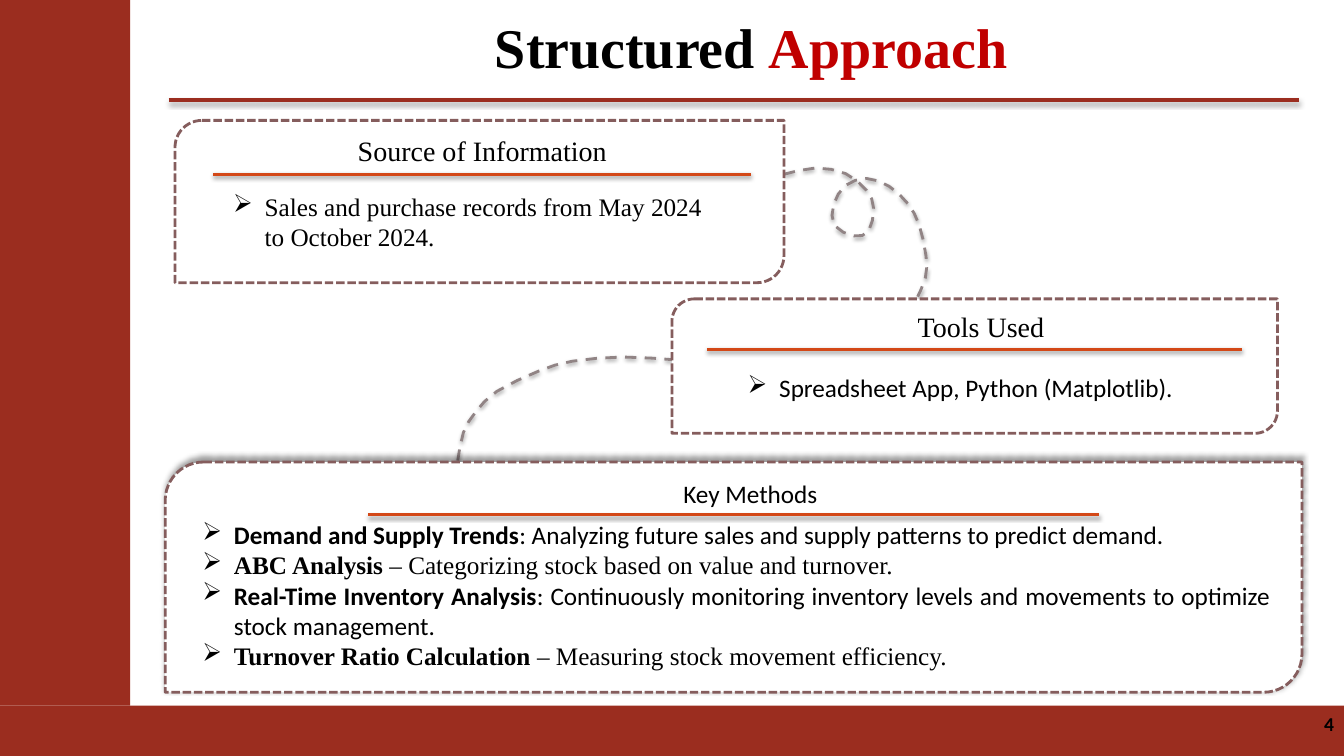
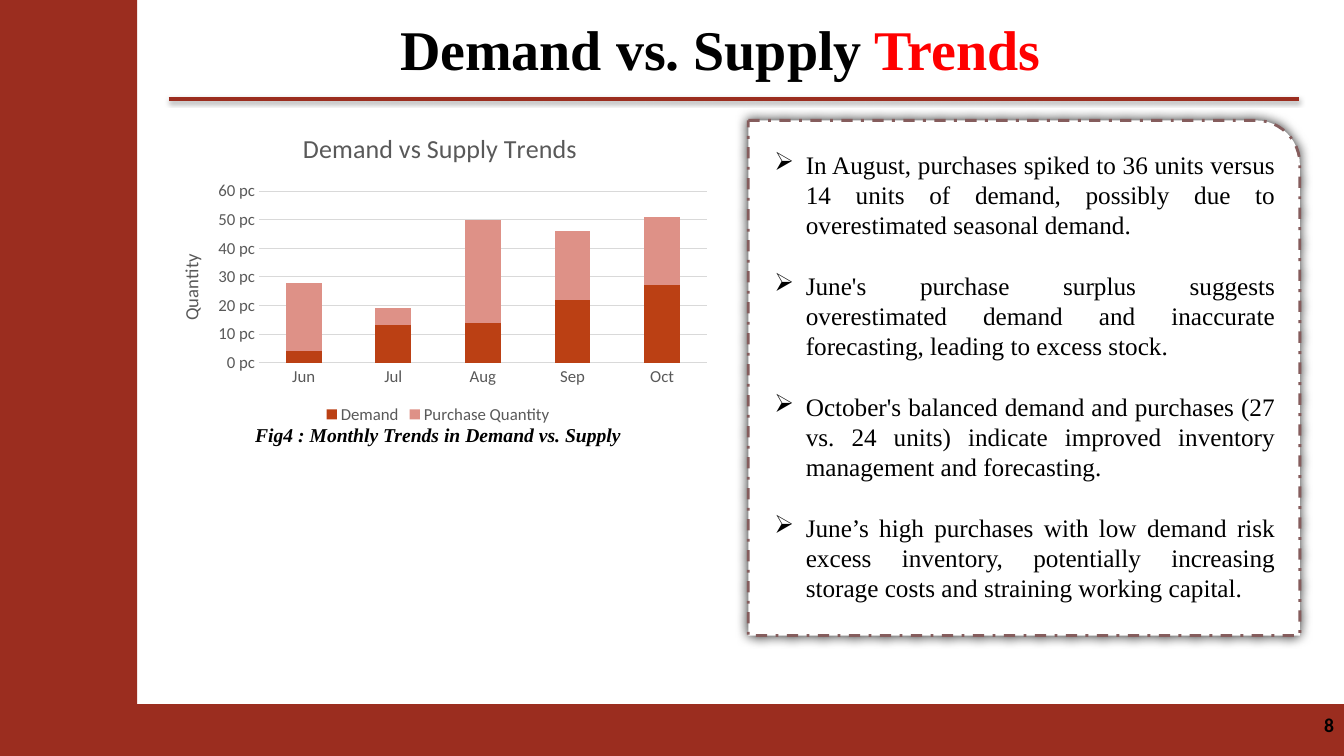
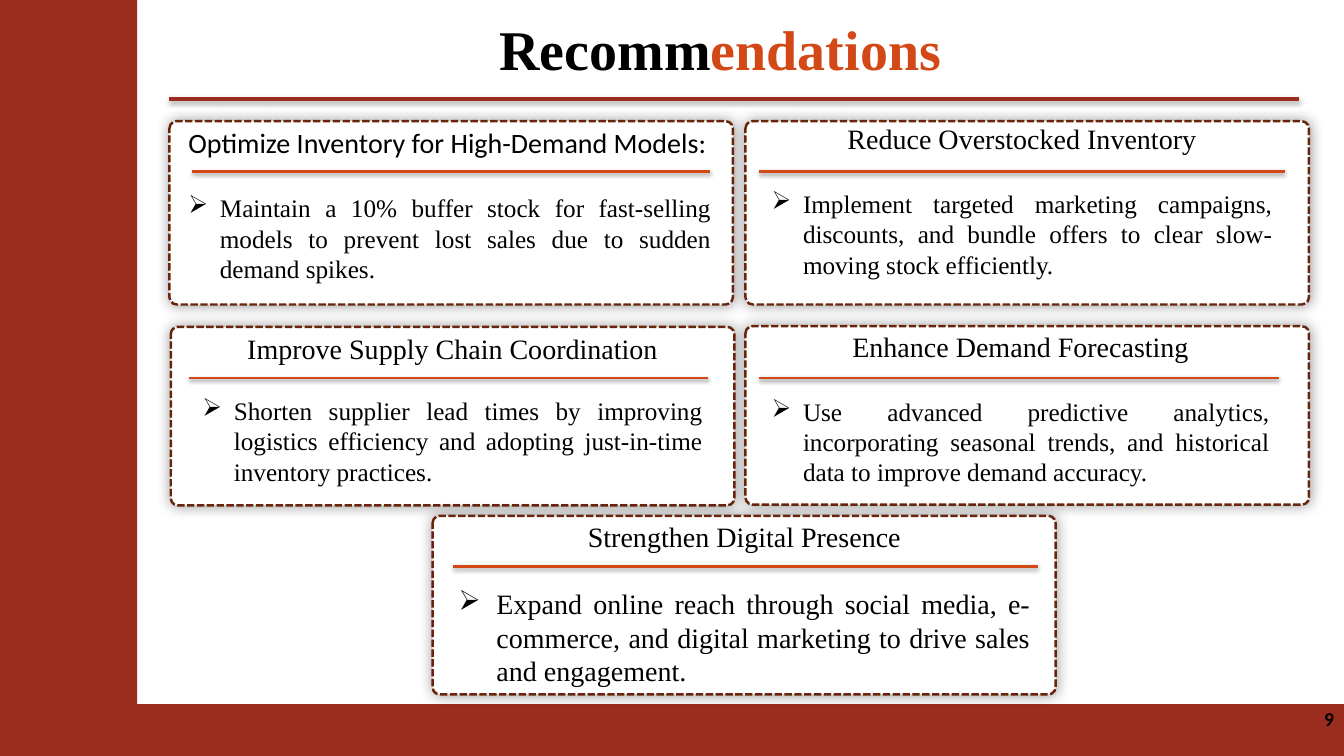
"""Build three slides on inventory analysis: approach, trends and recommendations."""
from pptx import Presentation
from pptx.chart.data import CategoryChartData
from pptx.dml.color import RGBColor
from pptx.enum.chart import XL_CHART_TYPE, XL_LEGEND_POSITION, XL_TICK_MARK
from pptx.enum.dml import MSO_LINE
from pptx.enum.shapes import MSO_CONNECTOR, MSO_SHAPE
from pptx.enum.text import MSO_ANCHOR, PP_ALIGN
from pptx.oxml import parse_xml
from pptx.oxml.ns import nsdecls, qn
from pptx.util import Pt

SERIF, SANS = "Times New Roman", "Calibri"
BLACK, WHITE, BRICK, ORANGE = "000000", "FFFFFF", "9B2D1F", "D34817"
MAUVE, BROWN, TAUPE, GREY, GRID = "855D5D", "69240C", "918485", "595959", "D9D9D9"
RULE_SHADOW = (38, 3.1, 1.6, 90)


def decorate(shape, color=None, width=1, dash=None, fill=None, shadow=None):
    """Set outline, fill and shadow (opacity, blur, distance, angle)."""
    if color:
        shape.line.color.rgb = RGBColor.from_string(color)
        shape.line.width = Pt(width)
        shape.line.dash_style = dash
    else:
        shape.line.fill.background()
    if fill:
        shape.fill.solid()
        shape.fill.fore_color.rgb = RGBColor.from_string(fill)
    effect = ""
    if shadow:
        opacity, blur, distance, angle = shadow
        effect = (
            f'<a:outerShdw blurRad="{Pt(blur)}" dist="{Pt(distance)}" dir="{angle * 60000}" '
            f'algn="ctr" rotWithShape="0"><a:srgbClr val="{BLACK}">'
            f'<a:alpha val="{opacity * 1000}"/></a:srgbClr></a:outerShdw>'
        )
    shape._element.spPr.append(
        parse_xml(f'<a:effectLst {nsdecls("a")}>{effect}</a:effectLst>')
    )


def add_text(slide, box, paragraphs, gap=0, indent=22.5):
    """Add a text box of (size, bulleted, runs); a run is (text, font, bold, color)."""
    frame = slide.shapes.add_textbox(*map(Pt, box)).text_frame
    frame.word_wrap = True
    for index, (size, bulleted, runs) in enumerate(paragraphs):
        paragraph = frame.add_paragraph() if index else frame.paragraphs[0]
        paragraph.alignment = PP_ALIGN.JUSTIFY if bulleted else PP_ALIGN.CENTER
        if index and gap:
            paragraph.space_before = Pt(gap)
        if bulleted:
            properties = paragraph._p.get_or_add_pPr()
            properties.set("marL", str(Pt(indent)))
            properties.set("indent", str(-Pt(indent)))
            for tag in ('buFont typeface="Wingdings" charset="2"', 'buChar char="Ø"'):
                properties.append(parse_xml(f'<a:{tag} {nsdecls("a")}/>'))
        for text, face, bold, color in runs:
            run = paragraph.add_run()
            run.text = text
            run.font.name = face
            run.font.size = Pt(size)
            run.font.bold = bold
            run.font.color.rgb = RGBColor.from_string(color)
    return frame


presentation = Presentation()
presentation.slide_width, presentation.slide_height = Pt(960), Pt(540)

pages = [
    ("Structured ", "Approach", "C00000", "4", 93, 504, 132.5, 5.5, 71.5, 502.5),
    ("Demand vs. Supply", " Trends", "FF0000", "8", 98, 503, 110.5, 7, 70.5, 503),
    ("Recomm", "endations", ORANGE, "9", 98, 503, 110.5, 7, 70.5, 499),
]
slides = []
for start, end, accent, number, side, floor, left, top, rule, number_top in pages:
    slide = presentation.slides.add_slide(presentation.slide_layouts[6])
    slides.append(slide)
    for box in [(0, 0, side, floor), (0, floor, 960, 540 - floor)]:
        band = slide.shapes.add_shape(MSO_SHAPE.RECTANGLE, *map(Pt, box))
        decorate(band, fill=BRICK)
    title_runs = [(start, SERIF, True, BLACK), (end, SERIF, True, accent)]
    add_text(slide, (left, top, 808, 55.5), [(40, False, title_runs)])
    line = slide.shapes.add_connector(
        MSO_CONNECTOR.STRAIGHT, Pt(120.5), Pt(rule), Pt(928), Pt(rule)
    )
    decorate(line, BRICK, 3, shadow=(35, 3.1, 1.8, 90))
    frame = add_text(
        slide, (744, number_top, 216, 29), [(14, False, [(number, SANS, True, BLACK)])]
    )
    frame.vertical_anchor = MSO_ANCHOR.MIDDLE
    frame.paragraphs[0].alignment = PP_ALIGN.RIGHT

approach, trends, recommendations = slides

curves = [
    [(560, 124.5), (582.5, 120), (604, 124), (619, 136), (624, 148.5), (620.5, 165),
     (610, 168.5), (596, 161), (595.5, 146), (604, 132.5), (619, 127.5), (635, 133),
     (648.5, 145.5), (656.5, 160.5), (661.5, 183), (661, 198.5), (655, 213)],
    [(327, 329), (331, 309), (340, 294), (355, 279.5), (385, 265), (409, 258),
     (445, 255), (481.5, 257)],
]
for anchors in curves:
    padded = [anchors[0], *anchors, anchors[-1]]
    points = []
    for before, first, second, after in zip(padded, padded[1:], padded[2:], padded[3:]):
        middle = [
            Pt((9 * (b + c) - a - d) / 16) for a, b, c, d in zip(before, first, second, after)
        ]
        points += [middle, [Pt(value) for value in second]]
    builder = approach.shapes.build_freeform(*map(Pt, anchors[0]))
    builder.add_line_segments(points, close=False)
    curve = builder.convert_to_shape()
    curve.fill.background()
    decorate(curve, TAUPE, 2, MSO_LINE.DASH, shadow=RULE_SHADOW)

methods = [
    ("Demand and Supply Trends",
     ": Analyzing future sales and supply patterns to predict demand.", SANS),
    ("ABC Analysis ", "– Categorizing stock based on value and turnover.", SERIF),
    ("Real-Time Inventory Analysis",
     ": Continuously monitoring inventory levels and movements to optimize stock management.",
     SANS),
    ("Turnover Ratio Calculation ", "– Measuring stock movement efficiency.", SERIF),
]
panels = [
    ((125, 86, 435, 116), None, "Source of Information", 20, SERIF,
     (152.5, 91.5, 384, 31.5), (152.5, 536.5, 124.5), (159.5, 133, 349, 49),
     [[("Sales and purchase records from May 2024 to October 2024.", SERIF, False, BLACK)]]),
    ((480, 213.5, 432.5, 96), None, "Tools Used", 20, SERIF,
     (510, 217.5, 381.5, 31.5), (505, 887, 249.5), (527, 262.5, 347, 29),
     [[("Spreadsheet App, Python (Matplotlib).", SANS, False, BLACK)]]),
    ((118, 330, 812, 164.5), (40, 4, 3, 270), "Key Methods", 18, SANS,
     (353.5, 338, 365, 29), (263, 785, 367.5), (137.5, 367.5, 777, 116.5),
     [[(name, face, True, BLACK), (detail, face, False, BLACK)]
      for name, detail, face in methods]),
]
for box, shadow, heading, size, face, heading_box, rule, body_box, items in panels:
    panel = approach.shapes.add_shape(MSO_SHAPE.ROUND_2_DIAG_RECTANGLE, *map(Pt, box))
    decorate(panel, MAUVE, 2, MSO_LINE.SQUARE_DOT, WHITE, shadow)
    panel.line._ln.find(qn("a:prstDash")).set("val", "sysDash")
    add_text(approach, heading_box, [(size, False, [(heading, face, False, BLACK)])])
    left, right, height = map(Pt, rule)
    line = approach.shapes.add_connector(MSO_CONNECTOR.STRAIGHT, left, height, right, height)
    decorate(line, ORANGE, 2, shadow=RULE_SHADOW)
    add_text(approach, body_box, [(18, True, runs) for runs in items])

caption = add_text(
    trends, (143, 298.5, 340, 24.5),
    [(14, False, [("Fig4 : Monthly Trends in Demand vs. Supply", SERIF, True, BLACK)])],
)
caption.paragraphs[0].runs[0].font.italic = True

panel = trends.shapes.add_shape(
    MSO_SHAPE.ROUND_1_RECTANGLE, Pt(534.5), Pt(86), Pt(394), Pt(368)
)
panel.adjustments[0] = 0.085
decorate(panel, MAUVE, 2, MSO_LINE.DASH_DOT, WHITE, (80, 8, 0, 0))
findings = [
    "In August, purchases spiked to 36 units versus 14 units of demand, possibly due to "
    "overestimated seasonal demand.",
    "June's purchase surplus suggests overestimated demand and inaccurate forecasting, "
    "leading to excess stock.",
    "October's balanced demand and purchases (27 vs. 24 units) indicate improved inventory "
    "management and forecasting.",
    "June’s high purchases with low demand risk excess inventory, potentially increasing "
    "storage costs and straining working capital.",
]
add_text(
    trends, (546, 103, 372, 356),
    [(18, True, [(text, SERIF, False, BLACK)]) for text in findings], gap=21.6,
)

chart_data = CategoryChartData()
chart_data.categories = ["Jun", "Jul", "Aug", "Sep", "Oct"]
chart_data.add_series("Demand", [4, 13, 14, 22, 27])
chart_data.add_series("Purchase Quantity", [24, 6, 36, 24, 24])
chart = trends.shapes.add_chart(
    XL_CHART_TYPE.COLUMN_STACKED, Pt(113), Pt(83), Pt(400), Pt(223), chart_data
).chart
chart.font.name = SANS
chart.font.size = Pt(12)
chart.font.color.rgb = RGBColor.from_string(GREY)
plot = chart.plots[0]
plot.gap_width, plot.overlap, plot.vary_by_categories = 150, 100, False
for series, color in zip(plot.series, ["BB4014", "DE9187"]):
    series.format.fill.solid()
    series.format.fill.fore_color.rgb = RGBColor.from_string(color)
chart.has_legend = True
chart.legend.position = XL_LEGEND_POSITION.BOTTOM
chart.legend.include_in_layout = False
category_axis, value_axis = chart.category_axis, chart.value_axis
for axis in (category_axis, value_axis):
    axis.major_tick_mark = axis.minor_tick_mark = XL_TICK_MARK.NONE
value_axis.minimum_scale, value_axis.maximum_scale, value_axis.major_unit = 0, 60, 10
value_axis.tick_labels.number_format = '0" pc"'
value_axis.tick_labels.number_format_is_linked = False
value_axis.format.line.fill.background()
for line in (category_axis.format.line, value_axis.major_gridlines.format.line):
    line.color.rgb = RGBColor.from_string(GRID)
    line.width = Pt(0.75)

for title, text, size in [
    (chart.chart_title, "Demand vs Supply Trends", 18.6),
    (value_axis.axis_title, "Quantity", 13.3),
]:
    title.text_frame.text = text
    font = title.text_frame.paragraphs[0].runs[0].font
    font.name, font.size, font.bold = SANS, Pt(size), False
    font.color.rgb = RGBColor.from_string(GREY)

for element, position, settings in [
    (chart._chartSpace.chart.plotArea, 0,
     [("layoutTarget", "inner"), ("xMode", "edge"), ("yMode", "edge"),
      ("x", 0.18), ("y", 0.24), ("w", 0.8), ("h", 0.55)]),
    (chart.chart_title._element, 1,
     [("xMode", "edge"), ("yMode", "edge"), ("x", 0.25), ("y", 0.03)]),
    (value_axis.axis_title._element, 1,
     [("xMode", "edge"), ("yMode", "edge"), ("x", 0.03), ("y", 0.43)]),
]:
    for layout in element.findall(qn("c:layout")):
        element.remove(layout)
    values = "".join(f'<c:{name} val="{value}"/>' for name, value in settings)
    element.insert(position, parse_xml(
        f'<c:layout {nsdecls("c")}><c:manualLayout>{values}</c:manualLayout></c:layout>'
    ))

cards = [
    ((121, 86.5, 402.5, 131), (127.5, 86, 387.5, 121), (137, 507.5, 122.5),
     "Optimize Inventory for High-Demand Models:", SANS, 18, 24,
     "Maintain a 10% buffer stock for fast-selling models to prevent lost sales due to "
     "sudden demand spikes."),
    ((532.5, 86.5, 402.5, 131), (544, 83.5, 372, 121), (542, 918, 122.5),
     "Reduce Overstocked Inventory", SERIF, 18, 23.5,
     "Implement targeted marketing campaigns, discounts, and bundle offers to clear "
     "slow-moving stock efficiently."),
    ((122, 233.5, 402.5, 127.5), (137.5, 233, 371.5, 119), (135, 506, 270),
     "Improve Supply Chain Coordination", SERIF, 18, 22,
     "Shorten supplier lead times by improving logistics efficiency and adopting "
     "just-in-time inventory practices."),
    ((532.5, 233, 402.5, 127.5), (544, 232, 370, 121), (542, 913.5, 270),
     "Enhance Demand Forecasting", SERIF, 18, 23.5,
     "Use advanced predictive analytics, incorporating seasonal trends, and historical "
     "data to improve demand accuracy."),
    ((309, 368.5, 445, 127.5), (320.5, 367.5, 422.5, 152.5), (323.5, 741.5, 404.5),
     "Strengthen Digital Presence", SERIF, 20, 24,
     "Expand online reach through social media, e-commerce, and digital marketing to "
     "drive sales and engagement."),
]
for box, text_box, rule, heading, face, size, gap, advice in cards:
    card = recommendations.shapes.add_shape(MSO_SHAPE.ROUNDED_RECTANGLE, *map(Pt, box))
    card.adjustments[0] = 0.04
    decorate(card, BROWN, 1.75, MSO_LINE.SQUARE_DOT, WHITE, (40, 10, 0, 0))
    card.line._ln.find(qn("a:prstDash")).set("val", "sysDash")
    frame = add_text(
        recommendations, text_box,
        [(20, False, [(heading, face, False, BLACK)]),
         (size, True, [(advice, SERIF, False, BLACK)])],
        gap, 27 if size == 20 else 22.5,
    )
    if face == SANS:
        frame.paragraphs[0].alignment = PP_ALIGN.LEFT
    left, right, height = map(Pt, rule)
    line = recommendations.shapes.add_connector(
        MSO_CONNECTOR.STRAIGHT, left, height, right, height
    )
    decorate(line, ORANGE, 2, shadow=RULE_SHADOW)

presentation.save("out.pptx")
